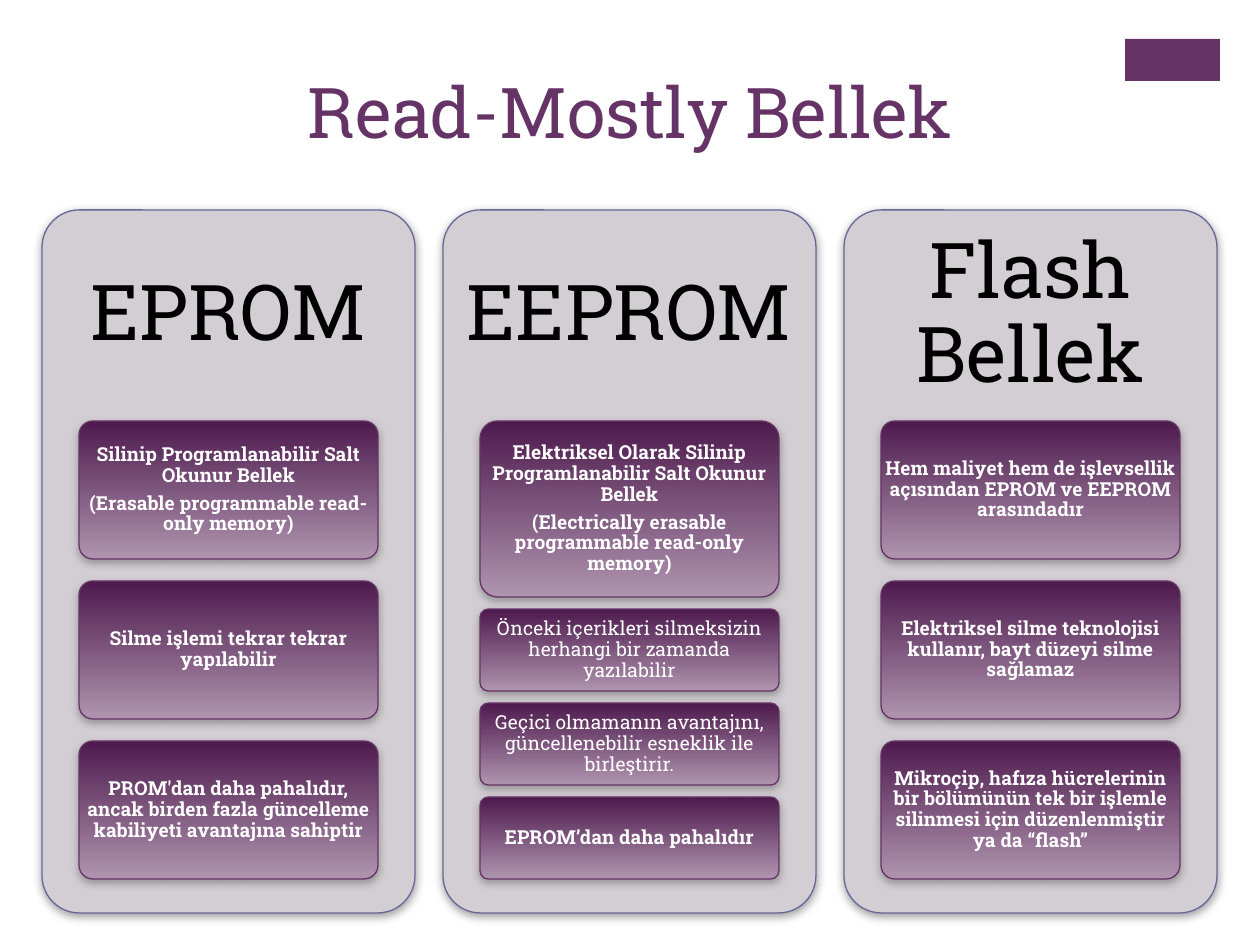
from lxml.etree import SubElement
from pptx import Presentation
from pptx.dml.color import RGBColor
from pptx.enum.shapes import MSO_SHAPE
from pptx.enum.text import MSO_ANCHOR, MSO_AUTO_SIZE, PP_ALIGN
from pptx.oxml.ns import qn
from pptx.util import Pt

THEME = {
    "font": "Roboto Slab",
    "accent": RGBColor.from_string("663366"),
    "panel": RGBColor.from_string("D3CED3"),
    "panel_line": RGBColor.from_string("666699"),
    "card_top": RGBColor.from_string("4D1A4D"),
    "card_bottom": RGBColor.from_string("AF94AF"),
    "heading": RGBColor.from_string("000000"),
    "card_text": RGBColor.from_string("FFFFFF"),
    "shadow": "808080",
    "title_size": 40,
    "heading_size": 44,
    "card_size": 11,
}
PX = 914400 / 126


def rounded_box(slide, left, top, width, height, line_color):
    box = slide.shapes.add_shape(
        MSO_SHAPE.ROUNDED_RECTANGLE, *(round(v * PX) for v in (left, top, width, height)))
    box.adjustments[0] = 0.1
    box.line.color.rgb = line_color
    box.line.width = Pt(0.75)
    box.shadow.inherit = False
    effects = box._element.spPr.find(qn("a:effectLst"))
    shadow = SubElement(effects, qn("a:outerShdw"), blurRad=str(Pt(5)), dist=str(Pt(2)),
                        dir="5400000", rotWithShape="0")
    color = SubElement(shadow, qn("a:srgbClr"), val=THEME["shadow"])
    SubElement(color, qn("a:alpha"), val="75000")
    return box


def write(frame, lines, size, color, inset=0, bold=False, spacing=0.9, anchor=MSO_ANCHOR.MIDDLE):
    frame.word_wrap = True
    frame.auto_size = MSO_AUTO_SIZE.NONE
    frame.vertical_anchor = anchor
    frame.margin_left = frame.margin_right = round(inset * PX)
    frame.margin_top = frame.margin_bottom = round(inset * PX)
    frame.text = "\n".join(lines)
    for paragraph in frame.paragraphs:
        paragraph.alignment = PP_ALIGN.CENTER
        paragraph.line_spacing = spacing
        paragraph.space_after = Pt(round(size * 0.35))
        paragraph.font.name = THEME["font"]
        paragraph.font.size = Pt(size)
        paragraph.font.bold = bold
        paragraph.font.color.rgb = color


COLUMNS = [
    ("EPROM", 22, [
        (138, True, ["Silinip Programlanabilir Salt Okunur Bellek",
                     "(Erasable programmable read-only memory)"]),
        (138, True, ["Silme işlemi tekrar tekrar yapılabilir"]),
        (138, True, ["PROM'dan daha pahalıdır, ancak birden fazla güncelleme "
                     "kabiliyeti avantajına sahiptir"]),
    ]),
    ("EEPROM", 12, [
        (176, True, ["Elektriksel Olarak Silinip Programlanabilir Salt Okunur Bellek",
                     "(Electrically erasable programmable read-only memory)"]),
        (82, False, ["Önceki içerikleri silmeksizin herhangi bir zamanda yazılabilir"]),
        (82, False, ["Geçici olmamanın avantajını, güncellenebilir esneklik ile birleştirir."]),
        (82, True, ["EPROM’dan daha pahalıdır"]),
    ]),
    ("Flash Bellek", 22, [
        (138, True, ["Hem maliyet hem de işlevsellik açısından EPROM ve EEPROM arasındadır"]),
        (138, True, ["Elektriksel silme teknolojisi kullanır, bayt düzeyi silme sağlamaz"]),
        (138, True, ["Mikroçip, hafıza hücrelerinin bir bölümünün tek bir işlemle "
                     "silinmesi için düzenlenmiştir ya da “flash”"]),
    ]),
]
COLUMN_LEFT, COLUMN_PITCH, COLUMN_WIDTH = 42, 401, 373
COLUMN_TOP, COLUMN_HEIGHT, HEADING_HEIGHT = 210, 703, 211
CARD_INDENT, CARD_WIDTH = 37, 299

deck = Presentation()
deck.slide_width, deck.slide_height = round(1260 * PX), round(945 * PX)
slide = deck.slides.add_slide(deck.slide_layouts[5])

corner = slide.shapes.add_shape(
    MSO_SHAPE.RECTANGLE, *(round(v * PX) for v in (1125, 39, 95, 42)))
corner.fill.solid()
corner.fill.fore_color.rgb = THEME["accent"]
corner.line.fill.background()
corner.shadow.inherit = False

title = slide.shapes.title
title.left, title.top, title.width, title.height = (round(v * PX) for v in (0, 63, 1260, 137))
write(title.text_frame, ["Read-Mostly Bellek"], THEME["title_size"], THEME["accent"],
      inset=6, spacing=1.0, anchor=MSO_ANCHOR.TOP)

for index, (memory, gap, cards) in enumerate(COLUMNS):
    left = COLUMN_LEFT + index * COLUMN_PITCH
    panel = rounded_box(slide, left, COLUMN_TOP, COLUMN_WIDTH, COLUMN_HEIGHT, THEME["panel_line"])
    panel.fill.solid()
    panel.fill.fore_color.rgb = THEME["panel"]

    heading = slide.shapes.add_textbox(
        *(round(v * PX) for v in (left, COLUMN_TOP, COLUMN_WIDTH, HEADING_HEIGHT)))
    write(heading.text_frame, [memory], THEME["heading_size"], THEME["heading"], inset=22)

    top = COLUMN_TOP + HEADING_HEIGHT
    for height, bold, lines in cards:
        card = rounded_box(slide, left + CARD_INDENT, top, CARD_WIDTH, height, THEME["accent"])
        card.fill.gradient()
        card.fill.gradient_angle = 270
        for stop, shade in zip(card.fill.gradient_stops, ("card_top", "card_bottom")):
            stop.color.rgb = THEME[shade]
        write(card.text_frame, lines, THEME["card_size"], THEME["card_text"], bold=bold)
        top += height + gap

deck.save("out.pptx")
